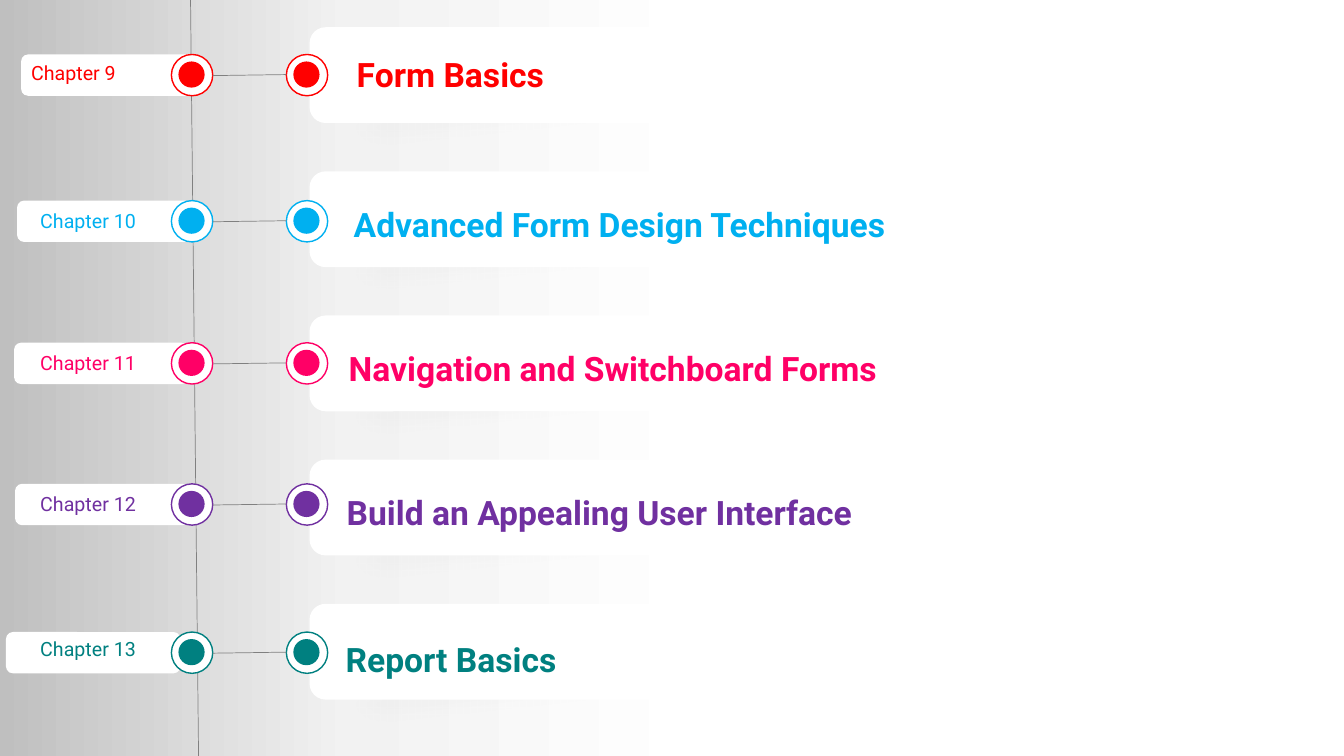
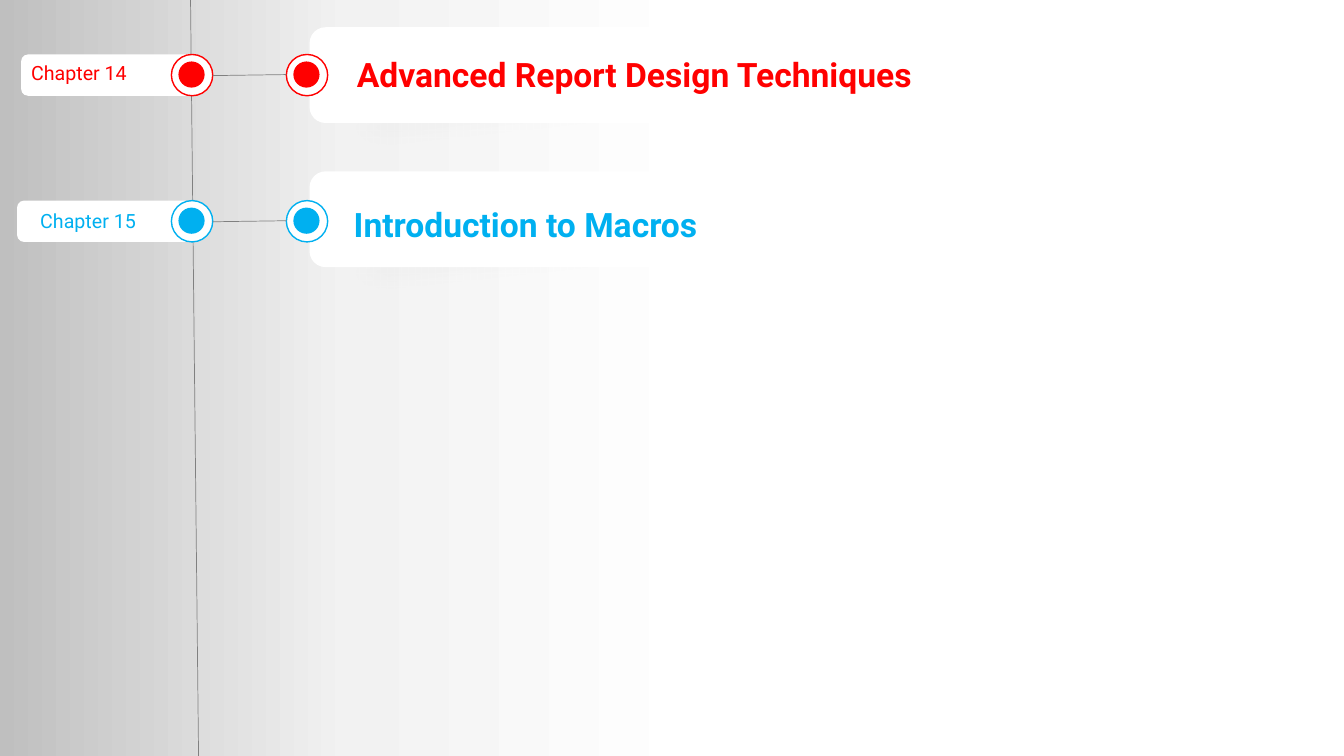
from dataclasses import dataclass

from lxml.etree import SubElement
from pptx import Presentation
from pptx.dml.color import RGBColor
from pptx.enum.shapes import MSO_CONNECTOR, MSO_SHAPE
from pptx.enum.text import MSO_ANCHOR, MSO_AUTO_SIZE
from pptx.oxml.ns import qn
from pptx.util import Emu, Pt

SCALE = 9144
WIDE, HIGH = 1333, 750


@dataclass(frozen=True)
class Theme:
    face: str = "Roboto"
    head: int = 24
    label: int = 14
    white: str = "FFFFFF"
    black: str = "000000"
    gray: str = "808080"
    fade: tuple = ((48, "FFFFFF"), (74, "F2F2F2"), (100, "BFBFBF"))
    tilt: float = -6.2
    shade: int = 40
    soft: int = 25
    thin: float = 0.5
    ring: float = 1


@dataclass(frozen=True)
class Slot:
    color: str
    knob: int
    tag: int
    label: tuple
    title: tuple


THEME = Theme()
CARD_TOP, CARD_STEP = 27, 143
CARD_LEFT, CARD_WIDE, CARD_HIGH = 307, 502, 95
KNOB, DOT = 41, 26
KNOB_LEFT, KNOB_RIGHT = 170, 284
TAG_WIDE = 173

SLOTS = (
    Slot("FF0000", 54, 21, (21, 2), (344, 22)),
    Slot("00B0F0", 199, 17, (30, 3), (341, 27)),
    Slot("FF0066", 340, 14, (30, 3), (336, 27)),
    Slot("7030A0", 480, 15, (30, 3), (334, 27)),
    Slot("008080", 627, 6, (30, 0), (333, 30)),
)

PAGES = (
    (
        ("Chapter 9", "Form Basics", 494),
        ("Chapter 10", "Advanced Form Design Techniques", 623),
        ("Chapter 11", "Navigation and Switchboard Forms", 613),
        ("Chapter 12", "Build an Appealing User Interface", 573),
        ("Chapter 13", "Report Basics", 529),
    ),
    (
        ("Chapter 14", "Advanced Report Design Techniques", 672),
        ("Chapter 15", "Introduction to Macros", 538),
    ),
)


def px(*nums):
    return [Emu(num * SCALE) for num in nums]


def rgb(code):
    return RGBColor.from_string(code)


def apply(item, values):
    for key, value in values.items():
        setattr(item, key, value)


def add_form(shapes, kind, box, fill, line=None):
    form = shapes.add_shape(kind, *px(*box))
    form.shadow.inherit = False
    form.fill.solid()
    form.fill.fore_color.rgb = rgb(fill)
    if line:
        form.line.color.rgb = rgb(line)
        form.line.width = Pt(THEME.ring)
    else:
        form.line.fill.background()
    return form


def add_text(shapes, box, text, color, size, bold=False):
    frame = shapes.add_textbox(*px(*box)).text_frame
    apply(frame, {
        "word_wrap": True,
        "auto_size": MSO_AUTO_SIZE.SHAPE_TO_FIT_TEXT,
        "vertical_anchor": MSO_ANCHOR.TOP,
    })
    run = frame.paragraphs[0].add_run()
    run.text = text
    apply(run.font, {"name": THEME.face, "size": Pt(size), "bold": bold})
    run.font.color.rgb = rgb(color)


def add_line(shapes, start, end):
    line = shapes.add_connector(MSO_CONNECTOR.STRAIGHT, *px(*start, *end))
    line.line.color.rgb = rgb(THEME.gray)
    line.line.width = Pt(THEME.thin)
    SubElement(line.element.spPr, qn("a:effectLst"))


def add_shade(shapes, box):
    form = add_form(shapes, MSO_SHAPE.RECTANGLE, box, THEME.black)
    form.rotation = THEME.tilt
    props = form.element.spPr
    tint = props.find(qn("a:solidFill")).find(qn("a:srgbClr"))
    SubElement(tint, qn("a:alpha"), val=str(THEME.shade * 1000))
    glow = props.find(qn("a:effectLst"))
    SubElement(glow, qn("a:softEdge"), rad=str(Pt(THEME.soft)))


def add_knob(shapes, left, top, color):
    gap = (KNOB - DOT) // 2
    add_form(shapes, MSO_SHAPE.OVAL, (left, top, KNOB, KNOB),
             THEME.white, color)
    add_form(shapes, MSO_SHAPE.OVAL, (left + gap, top + gap, DOT, DOT), color)


def add_card(shapes, box, slot, title, width):
    group = shapes.add_group_shape().shapes
    add_form(group, MSO_SHAPE.ROUNDED_RECTANGLE, box, THEME.white)
    left, drop = slot.title
    add_text(group, (left, box[1] + drop, width, 50), title,
             slot.color, THEME.head, True)
    add_knob(group, KNOB_RIGHT, slot.knob, slot.color)


def add_tag(shapes, box, slot, label):
    group = shapes.add_group_shape().shapes
    add_form(group, MSO_SHAPE.ROUNDED_RECTANGLE, box, THEME.white)
    add_knob(group, KNOB_LEFT, box[1], slot.color)
    left, drop = slot.label
    add_text(group, (left, box[1] + drop, 128, 34), label,
             slot.color, THEME.label)


def add_ground(slide):
    fill = slide.background.fill
    fill.gradient()
    fill.gradient_angle = 180
    stops = slide.element.find(".//" + qn("a:gsLst"))
    for stop in list(stops):
        stops.remove(stop)
    for place, color in THEME.fade:
        stop = SubElement(stops, qn("a:gs"), pos=str(place * 1000))
        SubElement(stop, qn("a:srgbClr"), val=color)


def add_page(deck, items):
    slide = deck.slides.add_slide(deck.slide_layouts[6])
    add_ground(slide)
    shapes = slide.shapes
    add_line(shapes, (189, 0), (197, 754))
    rows = [
        (slot, item, (CARD_LEFT, CARD_TOP + CARD_STEP * at,
                      CARD_WIDE, CARD_HIGH))
        for at, (slot, item) in enumerate(zip(SLOTS, items))
    ]
    for slot, _, card in rows:
        add_shade(shapes, (slot.tag - 21, slot.knob + 12, 164, 59))
        add_shade(shapes, (card[0] - 15, card[1] + 40, 384, CARD_HIGH))
    for slot, (_, title, width), card in rows:
        add_card(shapes, card, slot, title, width)
    for slot, (label, _, _), _ in rows:
        add_tag(shapes, (slot.tag, slot.knob, TAG_WIDE, KNOB), slot, label)
    for slot, _, _ in rows:
        mid = slot.knob + KNOB // 2
        add_line(shapes, (KNOB_LEFT + KNOB, mid + 1), (KNOB_RIGHT, mid))


def main():
    deck = Presentation()
    apply(deck, dict(zip(("slide_width", "slide_height"), px(WIDE, HIGH))))
    for items in PAGES:
        add_page(deck, items)
    deck.save("out.pptx")


if __name__ == "__main__":
    main()
